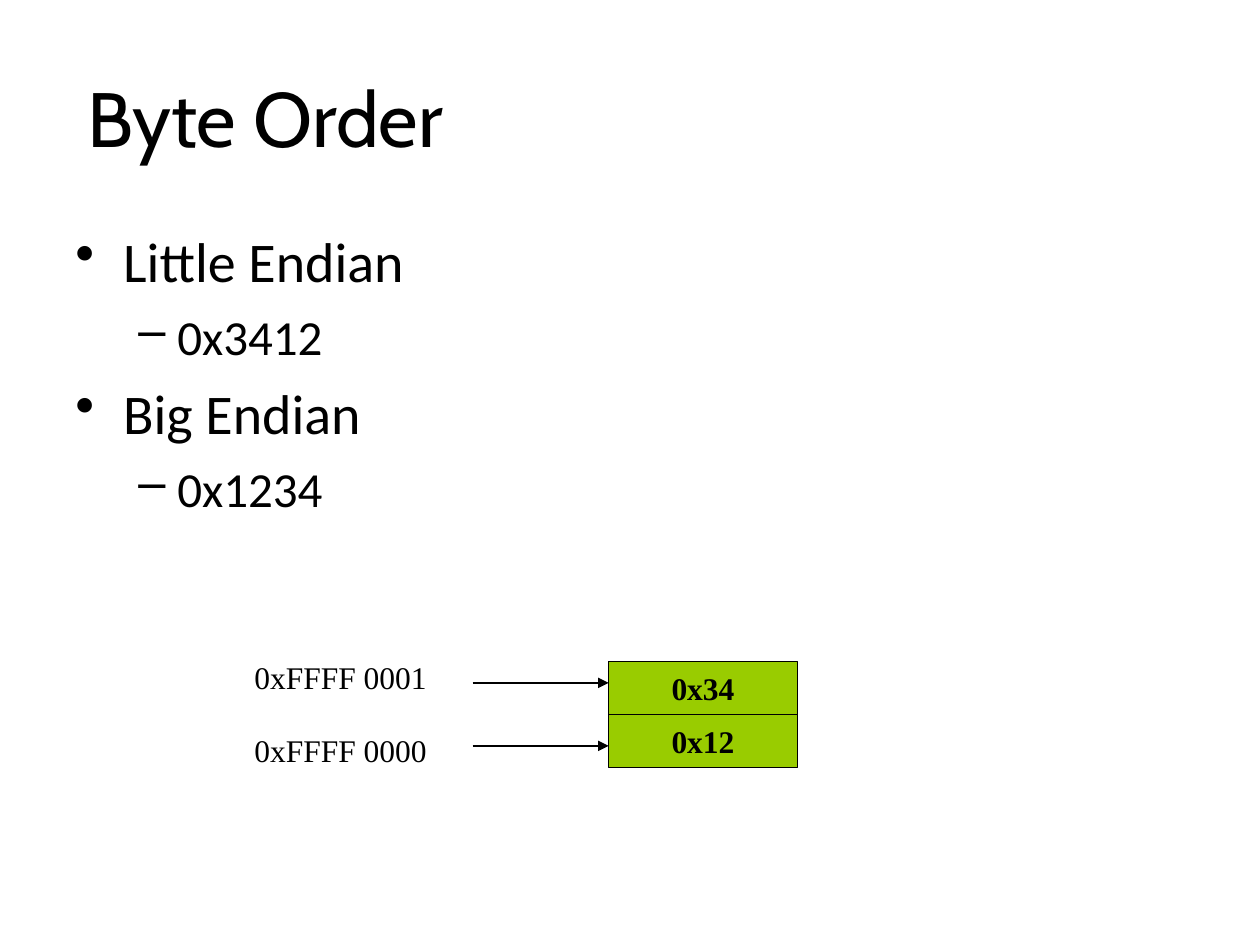
import pptx
import pptx.util
import pptx.dml.color
import pptx.enum.shapes
import pptx.enum.text
import pptx.oxml.ns
import lxml.etree

Inches = pptx.util.Inches
Pt = pptx.util.Pt
qn = pptx.oxml.ns.qn
ANCHOR = pptx.enum.text.MSO_ANCHOR


def color(code):
    return pptx.dml.color.RGBColor.from_string(code)


class Deck:
    """Holds the style and the current slide."""
    ink = "000000"
    green = "99CC00"
    serif = "Times New Roman"
    levels = [("•", 0.38, 0.38, 32, 8), ("–", 0.81, 0.31, 28, 7)]

    def __init__(self):
        self.prs = pptx.Presentation()
        self.prs.slide_width = Inches(10)
        self.prs.slide_height = Inches(7.5)
        self.slide = self.prs.slides.add_slide(self.prs.slide_layouts[6])

    def style(self, para, face, size, bold=False):
        for run in para.runs:
            font = run.font
            font.name, font.size, font.bold = face, Pt(size), bold
            font.color.rgb = color(self.ink)

    def box(self, left, top, width, height):
        area = map(Inches, (left, top, width, height))
        frame = self.slide.shapes.add_textbox(*area).text_frame
        frame.word_wrap = True
        return frame

    def label(self, text, area, face, size, anchor=ANCHOR.TOP):
        frame = self.box(*area)
        frame.text = text
        frame.vertical_anchor = anchor
        self.style(frame.paragraphs[0], face, size)

    def bullets(self, items, area):
        frame = self.box(*area)
        frame.text = "\n".join(text for text, level in items)
        for num, (para, (text, level)) in enumerate(zip(frame.paragraphs, items)):
            mark, left, hang, size, gap = self.levels[level]
            para.level = level
            if num:
                para.space_before = Pt(gap)
            props = para._p.get_or_add_pPr()
            props.set("marL", str(Inches(left)))
            props.set("indent", str(-Inches(hang)))
            lxml.etree.SubElement(props, qn("a:buChar")).set("char", mark)
            self.style(para, "Calibri", size)

    def cell(self, text, left, top, width, height):
        area = map(Inches, (left, top, width, height))
        kind = pptx.enum.shapes.MSO_SHAPE.RECTANGLE
        shape = self.slide.shapes.add_shape(kind, *area)
        shape.shadow.inherit = False
        shape.fill.solid()
        shape.fill.fore_color.rgb = color(self.green)
        shape.line.color.rgb = color(self.ink)
        shape.line.width = Pt(0.75)
        frame = shape.text_frame
        frame.text = text
        frame.word_wrap = False
        frame.vertical_anchor = ANCHOR.MIDDLE
        para = frame.paragraphs[0]
        para.alignment = pptx.enum.text.PP_ALIGN.CENTER
        self.style(para, self.serif, 18, True)

    def arrow(self, start, end, top):
        kind = pptx.enum.shapes.MSO_CONNECTOR.STRAIGHT
        ends = map(Inches, (start, top, end, top))
        line = self.slide.shapes.add_connector(kind, *ends)
        line.line.color.rgb = color(self.ink)
        line.line.width = Pt(0.75)
        props = line._element.spPr
        tail = lxml.etree.SubElement(props.find(qn("a:ln")), qn("a:tailEnd"))
        tail.set("type", "triangle")
        lxml.etree.SubElement(props, qn("a:effectLst"))


def main():
    deck = Deck()
    deck.label("Byte Order", (0.6, 0.3, 8.9, 1.25), "Cabin", 44, ANCHOR.MIDDLE)
    deck.bullets([("Little Endian", 0), ("0x3412", 1),
                  ("Big Endian", 0), ("0x1234", 1)], (0.5, 1.75, 9, 3.2))
    rows = [("0x34", "0xFFFF 0001"), ("0x12", "0xFFFF 0000")]
    for num, (value, address) in enumerate(rows):
        deck.cell(value, 4.83, 5.25 + 0.42 * num, 1.5, 0.42)
        deck.arrow(3.75, 4.83, 5.42 + 0.5 * num)
        deck.label(address, (1.92, 5.17 + 0.58 * num, 1.75, 0.4), deck.serif, 18)
    deck.prs.save("out.pptx")


if __name__ == "__main__":
    main()
